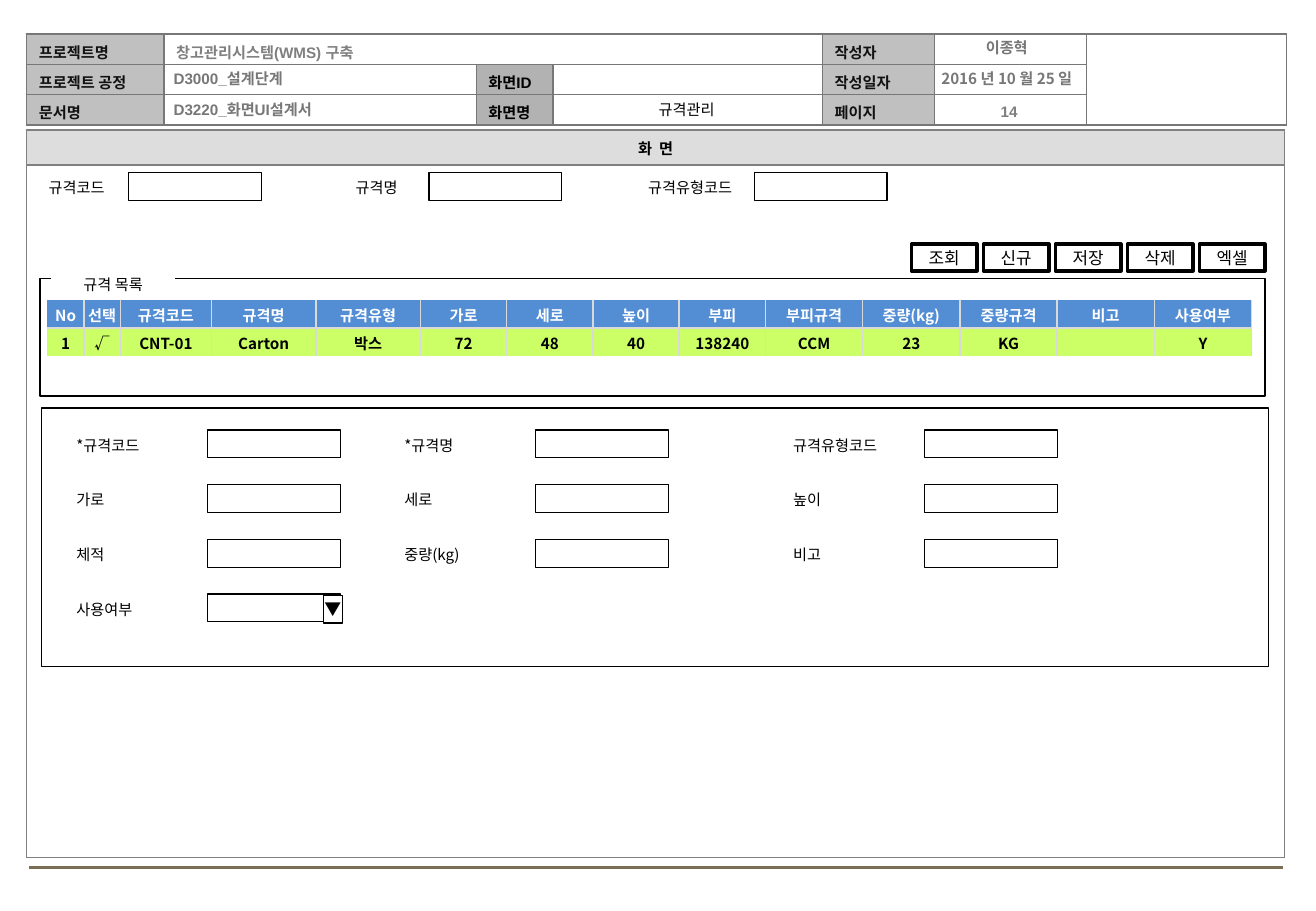
import pptx
import pptx.dml.color
import pptx.enum.shapes
import pptx.enum.text
import pptx.oxml.ns
import pptx.util
from pptx.util import Inches
from lxml import etree

KOREAN = "Noto Sans CJK KR"
BLACK, WHITE, GREY = "000000", "FFFFFF", "777777"
CENTER = pptx.enum.text.PP_ALIGN.CENTER
LEFT = pptx.enum.text.PP_ALIGN.LEFT
MIDDLE = pptx.enum.text.MSO_ANCHOR.MIDDLE
TOP = pptx.enum.text.MSO_ANCHOR.TOP
PLAIN_TABLE = "{2D5ABB26-0587-4C30-8999-92F81FD0307C}"


def color(hex_string):
    return pptx.dml.color.RGBColor.from_string(hex_string)


def add_xml(parent, tag, **attributes):
    return etree.SubElement(parent, pptx.oxml.ns.qn(tag), attributes)


def write(paragraph, text, font=KOREAN, size=9, ink=BLACK, bold=False, align=LEFT):
    paragraph.alignment = align
    run = paragraph.add_run()
    run.text = text
    run.font.name = font
    run.font.size = pptx.util.Pt(size)
    run.font.bold = bold
    run.font.color.rgb = color(ink)
    add_xml(run.font._element, "a:ea", typeface=KOREAN)


def add_label(slide, text, left, top, width, **style):
    box = slide.shapes.add_textbox(Inches(left), Inches(top), Inches(width), Inches(0.25))
    box.text_frame.word_wrap = True
    write(box.text_frame.paragraphs[0], text, **style)


def add_box(slide, left, top, width, height, fill=None, line=BLACK, weight=0.75):
    shape = slide.shapes.add_shape(
        pptx.enum.shapes.MSO_SHAPE.RECTANGLE,
        Inches(left), Inches(top), Inches(width), Inches(height))
    shape.shadow.inherit = False
    if fill:
        shape.fill.solid()
        shape.fill.fore_color.rgb = color(fill)
    else:
        shape.fill.background()
    if line:
        shape.line.color.rgb = color(line)
        shape.line.width = pptx.util.Pt(weight)
    else:
        shape.line.fill.background()
    return shape


def add_field(slide, left, top, fill=None):
    add_box(slide, left, top, 1.09, 0.23, fill)


def add_button(slide, text, left, top, width, height, weight):
    shape = add_box(slide, left, top, width, height, WHITE, BLACK, weight)
    frame = shape.text_frame
    frame.word_wrap = False
    frame.vertical_anchor = MIDDLE
    frame.margin_left = frame.margin_right = Inches(0.02)
    frame.margin_top = frame.margin_bottom = Inches(0.04)
    write(frame.paragraphs[0], text, size=10, align=CENTER)


def add_plain_table(slide, left, top, columns, rows):
    frame = slide.shapes.add_table(
        len(rows), len(columns), Inches(left), Inches(top),
        Inches(sum(columns)), Inches(sum(rows)))
    table = frame.table
    table.first_row = table.horz_banding = False
    table._tbl.tblPr.find(pptx.oxml.ns.qn("a:tableStyleId")).text = PLAIN_TABLE
    for column, width in zip(table.columns, columns):
        column.width = Inches(width)
    for row, height in zip(table.rows, rows):
        row.height = Inches(height)
    return table


def format_cell(cell, text, margins, border, sides="LRTB", fill=None, **style):
    cell.margin_left, cell.margin_top, cell.margin_right, cell.margin_bottom = map(Inches, margins)
    cell.vertical_anchor = MIDDLE
    properties = cell._tc.get_or_add_tcPr()
    for side in sides:
        edge = add_xml(properties, f"a:ln{side}", w="12700")
        add_xml(add_xml(edge, "a:solidFill"), "a:srgbClr", val=border)
    if fill:
        cell.fill.solid()
        cell.fill.fore_color.rgb = color(fill)
    else:
        cell.fill.background()
    paragraph = cell.text_frame.paragraphs[0]
    if text:
        write(paragraph, text, **style)
    else:
        add_xml(paragraph._p, "a:endParaRPr", sz="900")


def add_document_header(slide):
    rows = [
        ["프로젝트명", "창고관리시스템(WMS) 구축", "", "", "작성자", "", ""],
        ["프로젝트 공정", "", "화면ID", "", "작성일자", "", ""],
        ["문서명", "", "화면명", "", "페이지", "", ""],
    ]
    table = add_plain_table(
        slide, 0.22, 0.28, [1.13, 2.57, 0.63, 2.22, 0.92, 1.25, 1.65], [0.25] * 3)
    looks = {0: ("C0C0C0", "111111"), 2: ("B2B2B2", BLACK), 4: ("C0C0C0", "111111")}
    for r, row in enumerate(rows):
        for c, text in enumerate(row):
            fill, ink = looks.get(c, (None, "808080"))
            if (r, c) == (0, 2):
                fill = None
            format_cell(table.cell(r, c), text, (0.1, 0.04, 0.1, 0), GREY,
                        fill=fill, font="Arial", ink=ink, bold=True)
    table.cell(0, 1).merge(table.cell(0, 3))
    table.cell(0, 6).merge(table.cell(2, 6))
    for text, top in [("D3000_설계단계", 0.52), ("D3220_화면UI설계서", 0.78)]:
        add_label(slide, text, 1.33, top, 5.42, font="Arial", ink=GREY, bold=True)
    add_label(slide, "14", 7.68, 0.79, 1.25, font="Arial", ink="7F7F7F", bold=True, align=CENTER)
    add_label(slide, "규격관리", 4.56, 0.78, 2.18, align=CENTER)
    for text, top in [("이종혁", 0.27), ("2016 년 10 월 25 일", 0.52)]:
        add_label(slide, text, 7.5, top, 1.57, ink=GREY, bold=True, align=CENTER)


def add_screen_area(slide):
    table = add_plain_table(slide, 0.22, 1.07, [10.35], [0.29, 5.7])
    for row, (text, fill) in enumerate([("화  면", "DDDDDD"), ("", None)]):
        format_cell(table.cell(row, 0), text, (0.02, 0, 0.02, 0), "808080",
                    fill=fill, font="Arial", bold=True, align=CENTER)


def add_search_bar(slide):
    for text, left, width, field_left in [
            ("규격코드", 0.23, 0.8, 1.06), ("규격명", 2.7, 0.8, 3.53),
            ("규격유형코드", 5.16, 1.04, 6.21)]:
        add_label(slide, text, left, 1.42, width, align=CENTER)
        add_field(slide, field_left, 1.42, WHITE)
    for i, text in enumerate(["조회", "신규", "저장", "삭제", "엑셀"]):
        add_button(slide, text, 7.5 + i * 2.37 / 4, 2.01, 0.54, 0.22, 2)


def add_specification_list(slide):
    titles = ["No", "선택", "규격코드", "규격명", "규격유형", "가로", "세로", "높이",
              "부피", "부피규격", "중량(kg)", "중량규격", "비고", "사용여부"]
    values = ["1", "√", "CNT-01", "Carton", "박스", "72", "48", "40",
              "138240", "CCM", "23", "KG", "", "Y"]
    columns = [0.3] * 2 + [0.75] + [0.86] * 2 + [0.71] * 4 + [0.8] * 5
    table = add_plain_table(slide, 0.39, 2.47, columns, [0.23] * 2)
    looks = [(titles, "538ED5", WHITE, "RB"), (values, "CCFF66", BLACK, "RT")]
    for r, (texts, fill, ink, sides) in enumerate(looks):
        for c, text in enumerate(texts):
            format_cell(table.cell(r, c), text, (0.01, 0.01, 0.01, 0), "D9D9D9",
                        sides=("L" if c else "") + sides, fill=fill, ink=ink,
                        bold=True, align=CENTER)
    add_box(slide, 0.33, 2.29, 10.08, 0.97)
    caption = add_box(slide, 0.42, 2.22, 1.02, 0.25, WHITE, None)
    caption.text_frame.vertical_anchor = TOP
    write(caption.text_frame.paragraphs[0], "규격 목록", align=CENTER)


def add_detail_form(slide):
    add_box(slide, 0.34, 3.36, 10.1, 2.13)
    rows = [["*규격코드", "*규격명", "규격유형코드"], ["가로", "세로", "높이"],
            ["체적", "중량(kg)", "비고"], ["사용여부"]]
    for r, row in enumerate(rows):
        top = 3.54 + 0.45 * r
        for text, left in zip(row, [0.53, 3.23, 6.43]):
            add_label(slide, text, left, top, 1.17)
            add_field(slide, left + 1.18, top)
    add_button(slide, "▼", 2.66, 4.9, 0.16, 0.23, 0.75)


def add_footer_line(slide):
    line = slide.shapes.add_connector(
        pptx.enum.shapes.MSO_CONNECTOR.STRAIGHT,
        Inches(0.24), Inches(7.14), Inches(10.56), Inches(7.14))
    line.line.color.rgb = color("7A6F54")
    line.line.width = pptx.util.Pt(1.75)
    add_xml(line._element.spPr, "a:effectLst")


def main():
    presentation = pptx.Presentation()
    presentation.slide_width = Inches(10.83)
    presentation.slide_height = Inches(7.5)
    slide = presentation.slides.add_slide(presentation.slide_layouts[6])
    add_footer_line(slide)
    add_document_header(slide)
    add_screen_area(slide)
    add_specification_list(slide)
    add_search_bar(slide)
    add_detail_form(slide)
    presentation.save("out.pptx")


if __name__ == "__main__":
    main()
